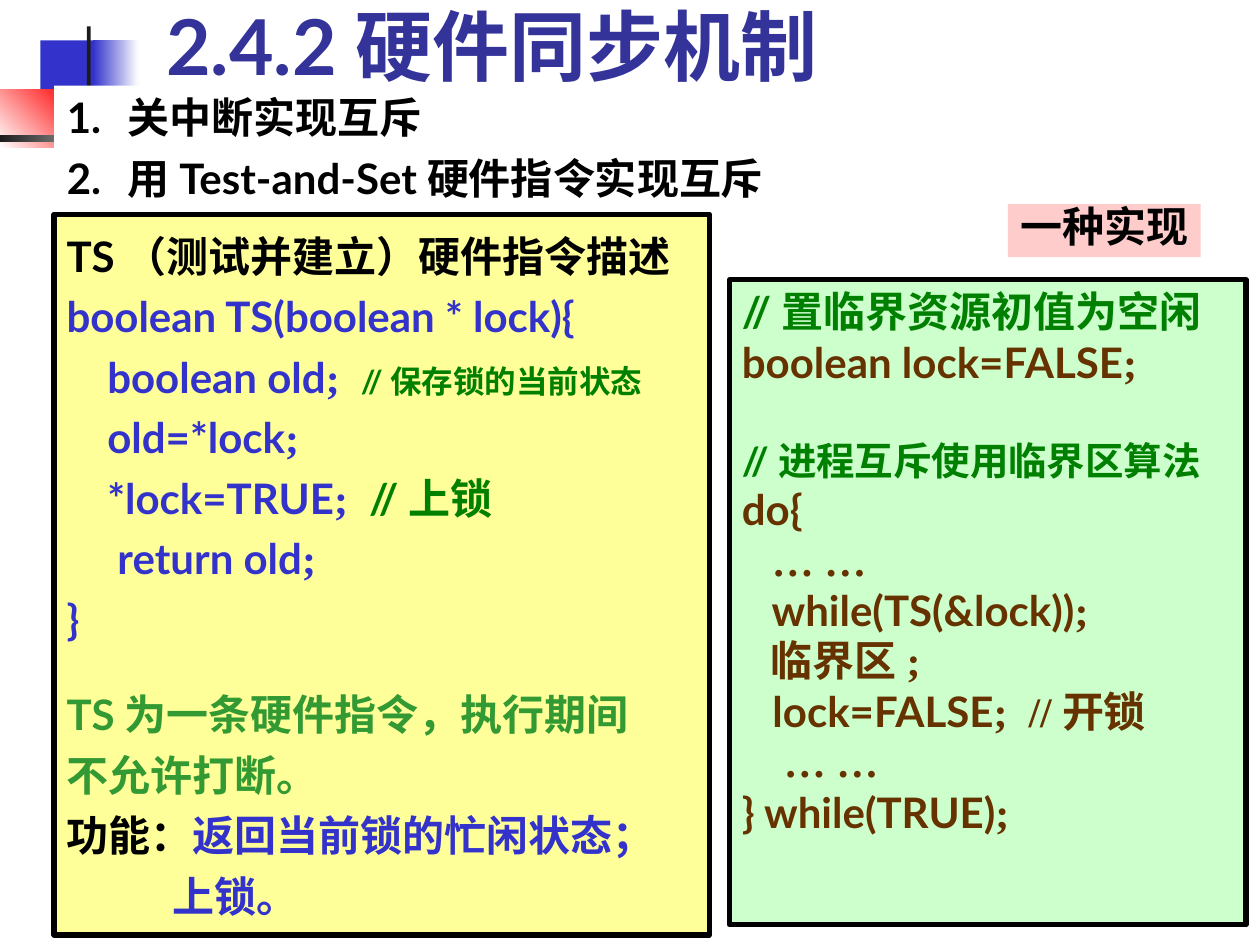
from lxml.etree import SubElement
from pptx import Presentation
from pptx.dml.color import RGBColor
from pptx.enum.shapes import MSO_SHAPE
from pptx.enum.text import MSO_ANCHOR, MSO_AUTO_SIZE, PP_ALIGN
from pptx.oxml.ns import qn
from pptx.util import Inches, Pt

WHITE = RGBColor(0xFF, 0xFF, 0xFF)
BLACK = RGBColor(0x00, 0x00, 0x00)
CHARCOAL = RGBColor(0x1C, 0x1C, 0x1C)
RED = RGBColor(0xFF, 0x00, 0x00)
BLUE = RGBColor(0x33, 0x33, 0xCC)
INDIGO = RGBColor(0x33, 0x33, 0x99)
GREEN = RGBColor(0x00, 0x80, 0x00)
LEAF = RGBColor(0x33, 0x99, 0x33)
BROWN = RGBColor(0x66, 0x33, 0x00)
YELLOW = RGBColor(0xFF, 0xFF, 0x99)
MINT = RGBColor(0xCC, 0xFF, 0xCC)
PINK = RGBColor(0xFF, 0xCC, 0xCC)
SERIF = "Times New Roman"


class SlideBuilder:
    """Hold the slide, its style and a grid of 100 columns by 75 rows."""

    def __init__(self, deck):
        self.column = deck.slide_width / 100
        self.row = deck.slide_height / 75
        self.slide = deck.slides.add_slide(deck.slide_layouts[1])
        self.title, self.body = self.slide.placeholders

    def area(self, left, top, width, height):
        return dict(left=round(left * self.column), top=round(top * self.row),
                    width=round(width * self.column), height=round(height * self.row))

    def rectangle(self, area, color):
        block = self.slide.shapes.add_shape(MSO_SHAPE.RECTANGLE, **self.area(*area))
        block.shadow.inherit = False
        block.line.fill.background()
        block.fill.solid()
        block.fill.fore_color.rgb = color
        return block

    def ornament(self, area, color, fade=None, angle=0):
        block = self.rectangle(area, color)
        if fade is not None:
            block.fill.gradient()
            block.fill.gradient_angle = angle
            for stop, shade in zip(block.fill.gradient_stops, (color, fade)):
                stop.color.rgb = shade
        self.title.element.addprevious(block.element)

    def placeholder(self, holder, area, lines, anchor=MSO_ANCHOR.TOP, **options):
        for name, value in self.area(*area).items():
            setattr(holder, name, value)
        self.typeset(holder, lines, anchor, **options)

    def panel(self, area, color, lines, border=None, **options):
        block = self.rectangle(area, color)
        if border is not None:
            block.line.color.rgb = border
            block.line.width = Pt(3)
        self.typeset(block, lines, MSO_ANCHOR.TOP, **options)

    def typeset(self, holder, lines, anchor, wrap=True, hanging=0, tab=None, **spacing):
        frame = holder.text_frame
        frame_format = dict(word_wrap=wrap, auto_size=MSO_AUTO_SIZE.NONE, vertical_anchor=anchor,
                            margin_left=Inches(0.1), margin_right=Inches(0.1),
                            margin_top=Inches(0.05), margin_bottom=Inches(0.05))
        for name, value in frame_format.items():
            setattr(frame, name, value)
        for index, (runs, extra) in enumerate(lines):
            paragraph = frame.add_paragraph() if index else frame.paragraphs[0]
            properties = paragraph._p.get_or_add_pPr()
            margin = Inches(hanging + extra.get("margin", 0))
            properties.set("marL", str(margin))
            properties.set("indent", str(-Inches(hanging)))
            SubElement(properties, qn("a:buNone"))
            if tab:
                stops = SubElement(properties, qn("a:tabLst"))
                SubElement(stops, qn("a:tab"), pos=str(Inches(tab)), algn="l")
            layout = dict(alignment=PP_ALIGN.LEFT, space_before=Pt(extra.get("before", 0)))
            for name, value in (layout | spacing).items():
                setattr(paragraph, name, value)
            for text, color, size, face in runs:
                run = paragraph.add_run()
                run.text = text
                for name, value in dict(name=face, size=Pt(size), bold=True).items():
                    setattr(run.font, name, value)
                run.font.color.rgb = color


def part(text, color, size=24, face="Lato"):
    """Describe one run of text."""
    return text, color, size, face


def line(*runs, **extra):
    """Describe one paragraph."""
    return runs, extra


def statement(text, color, ending=";", *comments):
    """Describe a code line whose ending is set in the serif face."""
    return line(part(text, color), part(ending, color, face=SERIF), *comments)


def main():
    """Build the slide on hardware synchronisation."""
    deck = Presentation()
    deck.slide_width, deck.slide_height = Inches(10), Inches(7.5)
    builder = SlideBuilder(deck)

    builder.ornament((3.2, 3.2, 4.8, 5.2), BLUE)
    builder.ornament((7.4, 3.2, 3.6, 5.2), BLUE, WHITE)
    builder.ornament((0, 7.1, 6.1, 4.6), WHITE, RED, 45)
    builder.ornament((6.9, 2.1, 0.3, 11.5), CHARCOAL)
    builder.ornament((0, 10.7, 12.2, 0.6), CHARCOAL, WHITE)

    builder.placeholder(builder.title, (12.2, 0, 85.2, 7.7),
                        [line(part("2.4.2\t硬件同步机制", INDIGO, 44))],
                        MSO_ANCHOR.BOTTOM, tab=1.81)
    builder.body.fill.solid()
    builder.body.fill.fore_color.rgb = WHITE
    builder.placeholder(builder.body, (4.3, 6.8, 92.5, 11.8), [
        line(part("1.\t关中断实现互斥", BLACK)),
        line(part("2.\t用Test-and-Set硬件指令实现互斥", BLACK), before=6),
    ], hanging=0.48)

    builder.panel((4.3, 17, 52, 57.2), YELLOW, [
        line(part("TS（测试并建立）硬件指令描述", BLACK)),
        line(part("boolean TS(boolean * lock){", BLUE)),
        statement("    boolean old", BLUE, ";  ", part("//保存锁的当前状态", GREEN, 18)),
        statement("    old=*lock", BLUE),
        statement("    *lock=TRUE", BLUE, ";  ", part("//上锁", GREEN)),
        statement("     return old", BLUE),
        line(part("}", BLUE)),
        line(part("TS为一条硬件指令，执行期间", LEAF), before=20),
        line(part("不允许打断。", LEAF)),
        line(part("功能：", BLACK), part("返回当前锁的忙闲状态；", BLUE)),
        line(part("上锁。", BLUE), margin=0.84),
    ], BLACK, line_spacing=1.2)

    builder.panel((57.9, 22.2, 41, 51.2), MINT, [
        line(part("//置临界资源初值为空闲", GREEN)),
        statement("boolean lock=FALSE", BROWN),
        line(part("//进程互斥使用临界区算法", GREEN, 22), before=29),
        line(part("do{", BROWN)),
        line(part("     ", BROWN, 14), part("… …", BROWN, face=SERIF)),
        statement("   while(TS(&lock))", BROWN),
        statement("   临界区", BROWN),
        statement("   lock=FALSE", BROWN, ";  //开锁"),
        line(part("    … …", BROWN, face=SERIF)),
        statement("} while(TRUE)", BROWN),
    ], BLACK)

    builder.panel((80, 16.2, 15.3, 4.2), PINK, [line(part("一种实现", BLACK))],
                  wrap=False, line_spacing=0.8)
    deck.save("out.pptx")


if __name__ == "__main__":
    main()
